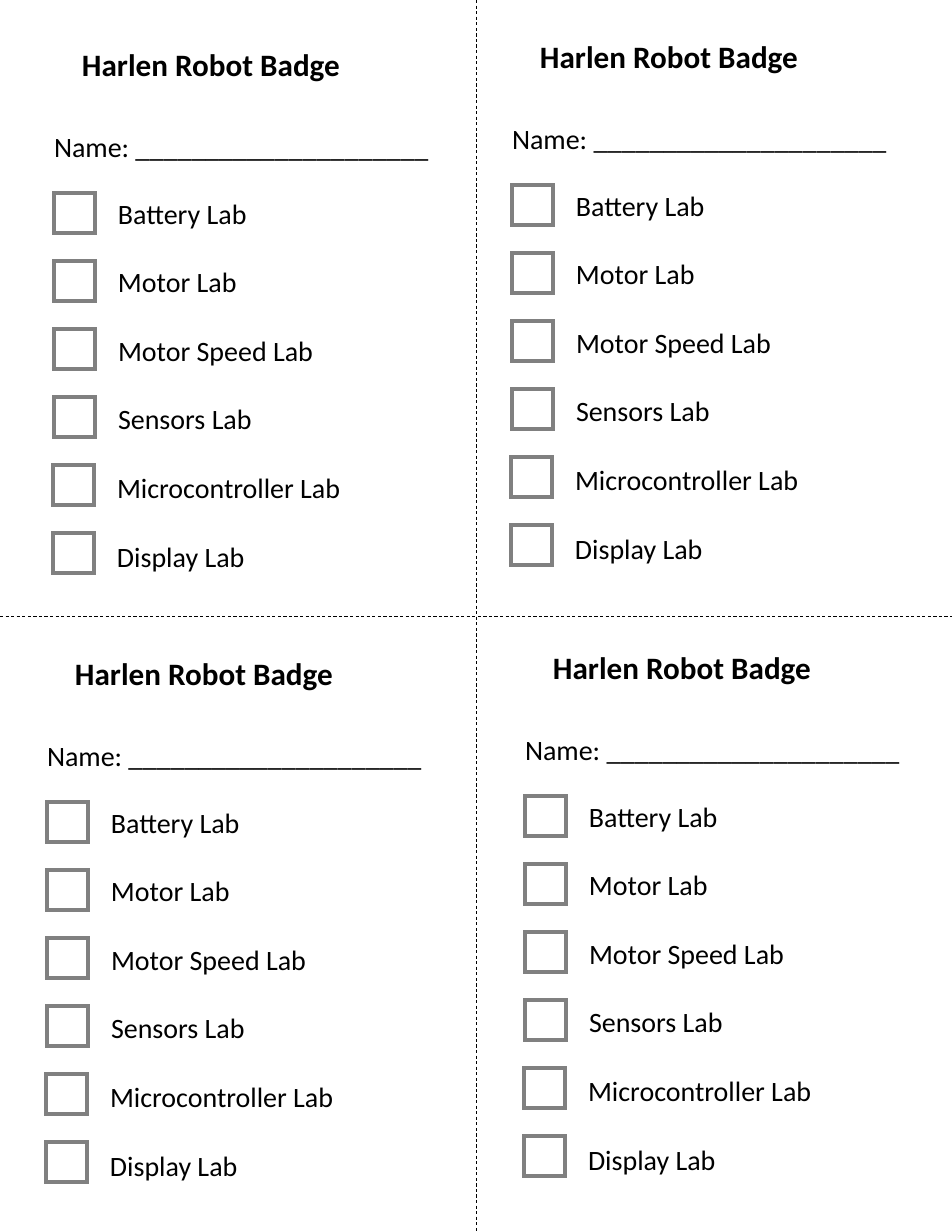
from lxml import etree
from pptx import Presentation
from pptx.dml.color import RGBColor
from pptx.enum.dml import MSO_LINE
from pptx.enum.shapes import MSO_CONNECTOR, MSO_SHAPE
from pptx.enum.text import MSO_AUTO_SIZE
from pptx.oxml.ns import qn
from pptx.util import Inches, Pt

DASH = MSO_LINE.DASH
STRAIGHT = MSO_CONNECTOR.STRAIGHT
RECTANGLE = MSO_SHAPE.RECTANGLE
FIT_SHAPE = MSO_AUTO_SIZE.SHAPE_TO_FIT_TEXT

PIXELS_PER_INCH = 112
PAGE_WIDTH, PAGE_HEIGHT = 952, 1232
BADGE_ORIGINS = [(501, 32), (43, 40), (36, 649), (514, 643)]
LABS = [
    ("Battery Lab", 153),
    ("Motor Lab", 142),
    ("Motor Speed Lab", 220),
    ("Sensors Lab", 158),
    ("Microcontroller Lab", 249),
    ("Display Lab", 151),
]
BOX_PITCH = 68
LABEL_SPAN = 343


def px(length):
    return Inches(length / PIXELS_PER_INCH)


def color(value):
    return RGBColor.from_string(value)


class BadgeSheet:
    font = "Calibri"
    ink = "000000"
    box_line = "808080"
    title_size = 20
    text_size = 18

    def __init__(self, slide):
        self.slide = slide

    def cut_line(self, x1, y1, x2, y2):
        connector = self.slide.shapes.add_connector(STRAIGHT, px(x1), px(y1), px(x2), px(y2))
        connector.line.color.rgb = color(self.ink)
        connector.line.width = Pt(0.5)
        connector.line.dash_style = DASH
        etree.SubElement(connector._element.spPr, qn("a:effectLst"))

    def checkbox(self, shapes, left, top):
        shape = shapes.add_shape(RECTANGLE, px(left), px(top), px(41), px(40))
        shape.shadow.inherit = False
        shape.fill.background()
        shape.line.color.rgb = color(self.box_line)
        shape.line.width = Pt(2.25)
        outline = shape._element.spPr.find(qn("a:ln"))
        etree.SubElement(outline, qn("a:miter"), lim="800000")

    def text(self, shapes, text, left, top, width, height=45, size=text_size, bold=False, wrap=False):
        shape = shapes.add_textbox(px(left), px(top), px(width), px(height))
        frame = shape.text_frame
        frame.word_wrap = wrap
        frame.auto_size = FIT_SHAPE
        paragraph = frame.paragraphs[0]
        paragraph.text = text
        paragraph.font.name = self.font
        paragraph.font.size = Pt(size)
        paragraph.font.bold = bold
        paragraph.font.color.rgb = color(self.ink)

    def badge(self, left, top):
        shapes = self.slide.shapes.add_group_shape().shapes
        last = len(LABS) - 1
        for index, (lab, width) in enumerate(LABS):
            nudge = index // 4
            self.checkbox(shapes, left + 11 - nudge, top + 153 + index * BOX_PITCH)
            label_top = top + 151 + index * LABEL_SPAN // last
            self.text(shapes, lab, left + 64 - nudge, label_top, width)
        self.text(shapes, "Harlen Robot Badge", left + 28, top, 351, 49,
                  size=self.title_size, bold=True, wrap=True)
        self.text(shapes, "Name: " + "_" * 21, left, top + 84, 402)


def main():
    presentation = Presentation()
    presentation.slide_width = px(PAGE_WIDTH)
    presentation.slide_height = px(PAGE_HEIGHT)
    sheet = BadgeSheet(presentation.slides.add_slide(presentation.slide_layouts[6]))
    sheet.cut_line(PAGE_WIDTH // 2, 0, PAGE_WIDTH // 2, PAGE_HEIGHT)
    sheet.cut_line(0, PAGE_HEIGHT // 2, PAGE_WIDTH, PAGE_HEIGHT // 2)
    for left, top in BADGE_ORIGINS:
        sheet.badge(left, top)
    presentation.save("out.pptx")


if __name__ == "__main__":
    main()
